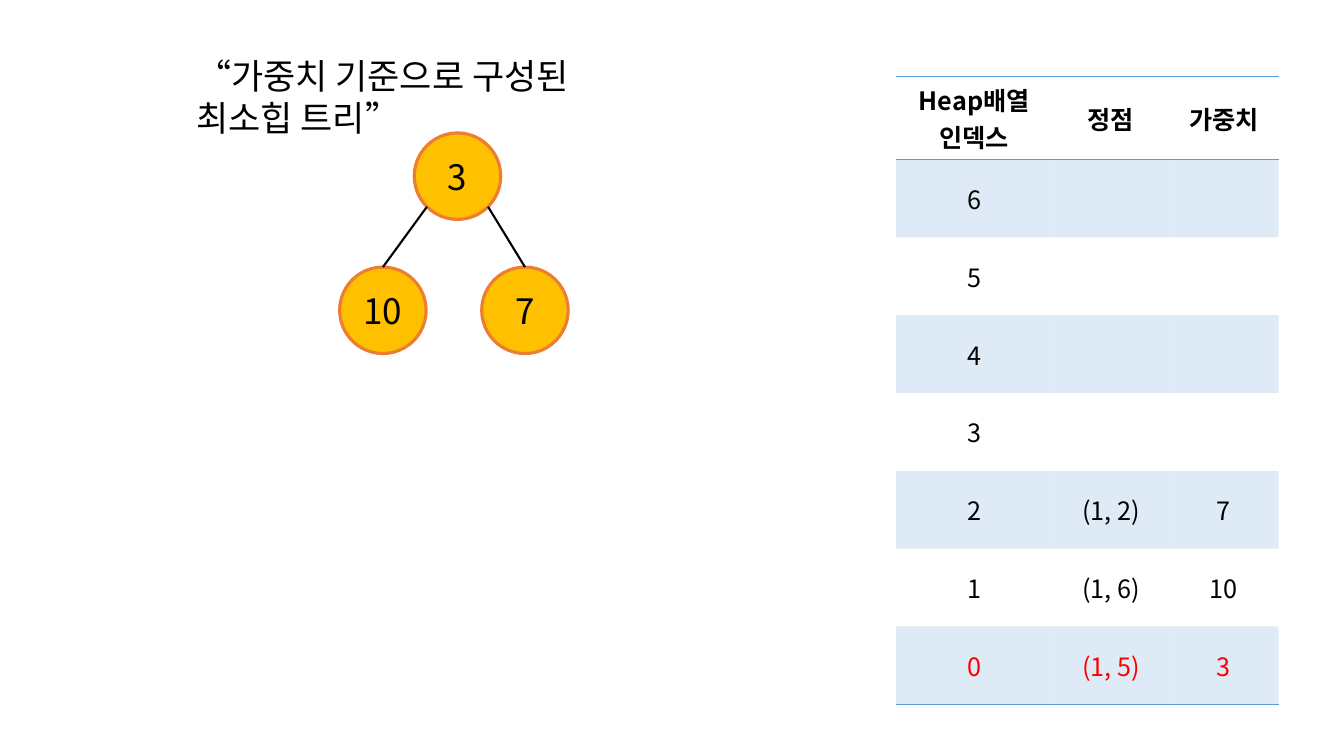
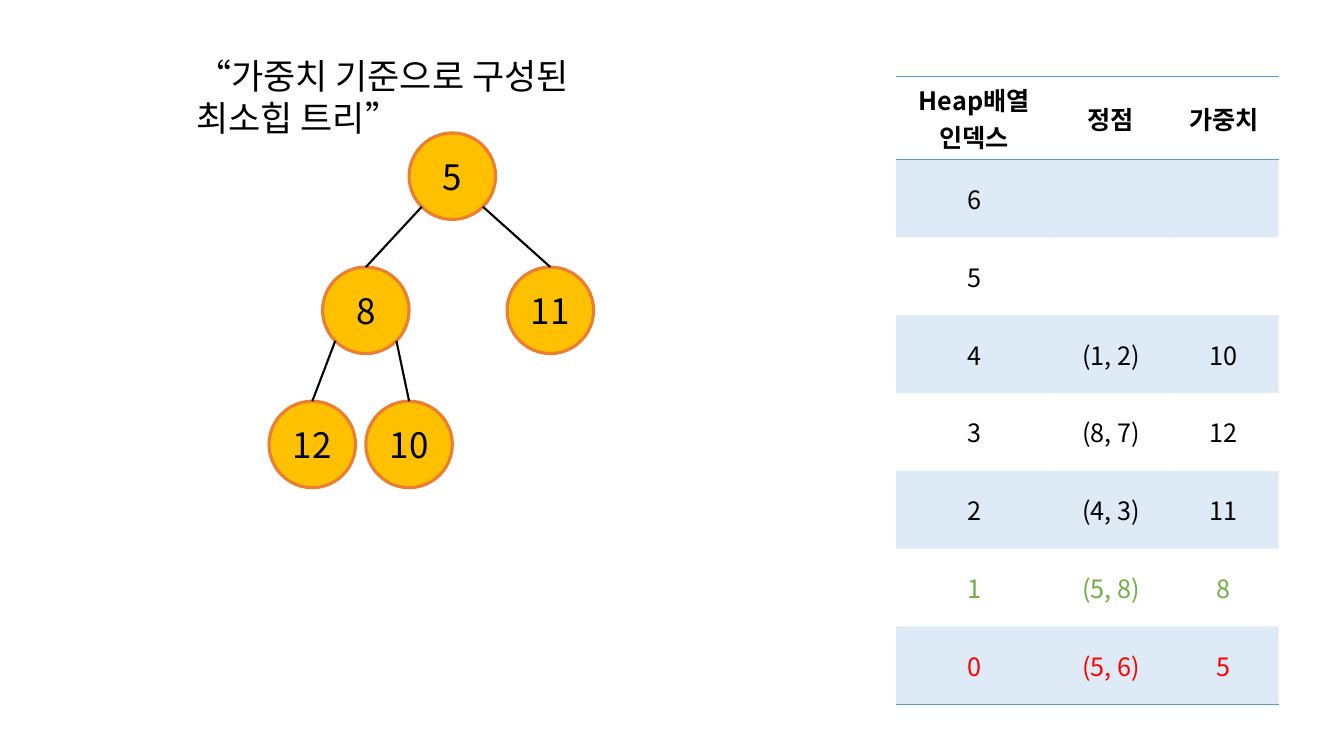
from math import sqrt

from lxml.etree import SubElement
from pptx import Presentation
from pptx.dml.color import RGBColor
from pptx.enum.shapes import MSO_CONNECTOR as CONN, MSO_SHAPE as SHAPE
from pptx.enum.text import MSO_ANCHOR as ANCHOR, MSO_AUTO_SIZE as AUTO, PP_ALIGN as ALIGN
from pptx.oxml import parse_xml
from pptx.oxml.ns import nsdecls, qn
from pptx.util import Cm, Pt

FONT = "Noto Sans CJK KR"
BLACK = RGBColor(0x00, 0x00, 0x00)
RED = RGBColor(0xFF, 0x00, 0x00)
GREEN = RGBColor(0x70, 0xAD, 0x47)
BLUE = RGBColor(0x5B, 0x9B, 0xD5)
GOLD = RGBColor(0xFF, 0xC0, 0x00)
ORANGE = RGBColor(0xED, 0x7D, 0x31)

TITLE = "“가중치 기준으로 구성된 최소힙 트리”"
HEADER = ["Heap배열\n인덱스", "정점", "가중치"]
COL_WIDTHS = [3.94, 2.95, 2.75]
HEADER_HEIGHT, ROW_HEIGHT = 1.83, 1.96
CAPACITY = 7
NO_STYLE = "{2D5ABB26-0587-4C30-8999-92F81FD0307C}"

# Node size, top of the root, distance between levels (cm)
NODE, ROOT_TOP, LEVEL_STEP = 2.18, 3.35, 3.38

# Heaps in array order: vertex pair, weight, row colour, left edge of the node (cm)
HEAPS = [
    [("(1, 5)", 3, RED, 10.44),
     ("(1, 6)", 10, BLACK, 8.56),
     ("(1, 2)", 7, BLACK, 12.14)],
    [("(5, 6)", 5, RED, 10.31),
     ("(5, 8)", 8, GREEN, 8.13),
     ("(4, 3)", 11, BLACK, 12.78),
     ("(8, 7)", 12, BLACK, 6.78),
     ("(1, 2)", 10, BLACK, 9.22)],
]


def write(tf, text, size, color=BLACK, bold=False, align=ALIGN.CENTER):
    tf.text = text
    for p in tf.paragraphs:
        p.alignment = align
        for r in p.runs:
            r.font.size = Pt(size)
            r.font.bold = bold
            r.font.color.rgb = color
            r.font.name = FONT
            SubElement(r.font._element, qn("a:ea"), typeface=FONT)


def add_borders(cell, sides):
    tc_pr = cell._tc.get_or_add_tcPr()
    for i, side in enumerate(sides):
        tc_pr.insert(i, parse_xml(
            f'<a:ln{side} {nsdecls("a")} w="{Pt(1)}"><a:solidFill>'
            f'<a:srgbClr val="{BLUE}"/></a:solidFill></a:ln{side}>'))


prs = Presentation()
prs.slide_width, prs.slide_height = Cm(33.87), Cm(19.05)

for heap in HEAPS:
    s = prs.slides.add_slide(prs.slide_layouts[5])

    # Heap array table, highest index first
    frame = s.shapes.add_table(CAPACITY + 1, len(HEADER), Cm(22.58), Cm(1.93),
                               Cm(sum(COL_WIDTHS)),
                               Cm(HEADER_HEIGHT + CAPACITY * ROW_HEIGHT))
    table = frame.table
    table._tbl.tblPr.find(qn("a:tableStyleId")).text = NO_STYLE
    table.first_row = table.horz_banding = False
    for column, width in zip(table.columns, COL_WIDTHS):
        column.width = Cm(width)
    for i, row in enumerate(table.rows):
        row.height = Cm(ROW_HEIGHT if i else HEADER_HEIGHT)
        index = CAPACITY - i
        color = BLACK
        if i == 0:
            texts = HEADER
        elif index < len(heap):
            vertex, weight, color, _ = heap[index]
            texts = [str(index), vertex, str(weight)]
        else:
            texts = [str(index), "", ""]
        for cell, text in zip(row.cells, texts):
            cell.vertical_anchor = ANCHOR.MIDDLE
            write(cell.text_frame, text, 18, color, bold=i == 0)
            if i % 2:
                cell.fill.solid()
                cell.fill.fore_color.rgb = BLUE
                tint = cell._tc.tcPr.find(".//" + qn("a:srgbClr"))
                SubElement(tint, qn("a:alpha"), val="20000")
            else:
                cell.fill.background()
            if i == 0:
                add_borders(cell, "TB")
            elif index == 0:
                add_borders(cell, "B")

    # Title
    sp = s.shapes.title
    sp.left, sp.top, sp.width, sp.height = Cm(4.7), Cm(1.24), Cm(12.09), Cm(1.32)
    tf = sp.text_frame
    write(tf, TITLE, 25, align=ALIGN.LEFT)
    tf.word_wrap = True
    tf.auto_size = AUTO.NONE
    tf.vertical_anchor = ANCHOR.TOP
    tf.paragraphs[0].line_spacing = Pt(30)

    # Tree nodes, each linked to its heap parent
    radius = NODE / 2
    reach = radius / sqrt(2)
    centers = []
    for i, (_, weight, _, left) in enumerate(heap):
        level = (i + 1).bit_length() - 1
        top = ROOT_TOP + level * LEVEL_STEP
        sp = s.shapes.add_shape(SHAPE.OVAL, Cm(left), Cm(top), Cm(NODE), Cm(NODE))
        sp.shadow.inherit = False
        sp.fill.solid()
        sp.fill.fore_color.rgb = GOLD
        sp.line.color.rgb = ORANGE
        sp.line.width = Pt(2.25)
        sp.text_frame.vertical_anchor = ANCHOR.MIDDLE
        write(sp.text_frame, str(weight), 25)
        centers.append((left + radius, top + radius))
        if i:
            x, y = centers[(i - 1) // 2]
            side = -1 if i % 2 else 1
            link = s.shapes.add_connector(CONN.STRAIGHT, Cm(x + side * reach),
                                          Cm(y + reach), Cm(left + radius), Cm(top))
            link.line.color.rgb = BLACK
            link.line.width = Pt(1.5)
            SubElement(link._element.spPr, qn("a:effectLst"))

prs.save("out.pptx")
